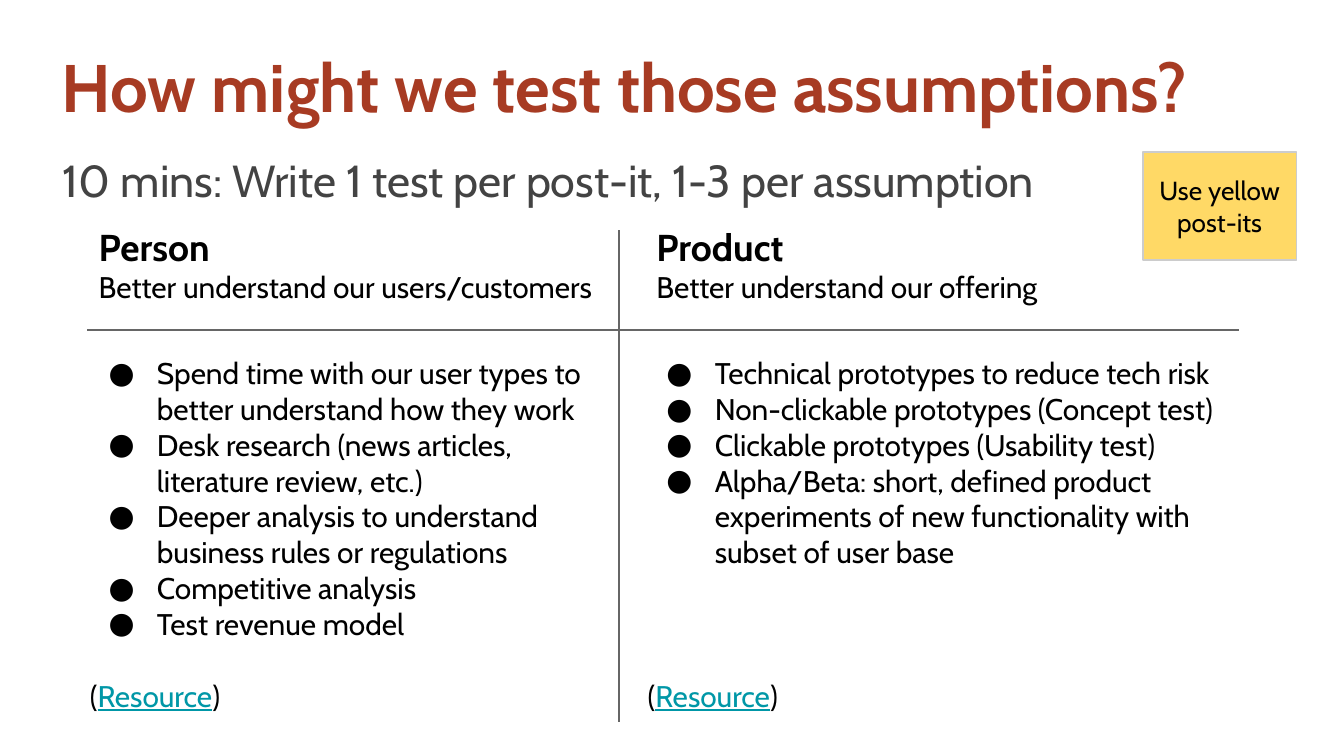
import pptx
import pptx.util
import pptx.dml.color
import pptx.enum.shapes
import pptx.enum.text
import pptx.oxml.ns
import lxml.etree

RGB = pptx.dml.color.RGBColor
BLACK = RGB(0x00, 0x00, 0x00)
RUST = RGB(0xA7, 0x3B, 0x23)
SLATE = RGB(0x43, 0x43, 0x43)
TEAL = RGB(0x00, 0x97, 0xA7)
GREY = RGB(0x66, 0x66, 0x66)
SILVER = RGB(0xCC, 0xCC, 0xCC)
YELLOW = RGB(0xFF, 0xD9, 0x66)

FONT = "Cabin"
SCALE = 4572
LINE = 19.2
ALIGN = pptx.enum.text.PP_ALIGN
ANCHOR = pptx.enum.text.MSO_ANCHOR

PERSON = [
    "Spend time with our user types to better understand how they work",
    "Desk research (news articles, literature review, etc.)",
    "Deeper analysis to understand business rules or regulations",
    "Competitive analysis",
    "Test revenue model",
]
PRODUCT = [
    "Technical prototypes to reduce tech risk",
    "Non-clickable prototypes (Concept test)",
    "Clickable prototypes (Usability test)",
    "Alpha/Beta: short, defined product experiments of new functionality "
    "with subset of user base",
]


def px(num):
    return pptx.util.Emu(num * SCALE)


def style(run, size, color=BLACK, bold=False):
    font = run.font
    font.name = FONT
    font.size = pptx.util.Pt(size)
    font.color.rgb = color
    font.bold = bold


def setup(frame, anchor=ANCHOR.MIDDLE):
    frame.word_wrap = True
    frame.auto_size = pptx.enum.text.MSO_AUTO_SIZE.NONE
    frame.vertical_anchor = anchor
    frame.margin_left = frame.margin_right = px(20)
    frame.margin_top = frame.margin_bottom = px(20)
    return frame


def add_box(slide, x, y, w, h, anchor=ANCHOR.MIDDLE):
    box = slide.shapes.add_textbox(px(x), px(y), px(w), px(h))
    return setup(box.text_frame, anchor)


def add_bullet(para):
    props = para._p.get_or_add_pPr()
    props.set("marL", str(px(100)))
    props.set("indent", str(px(-72)))
    qn = pptx.oxml.ns.qn
    color = lxml.etree.SubElement(props, qn("a:buClr"))
    lxml.etree.SubElement(color, qn("a:srgbClr"), val=str(BLACK))
    lxml.etree.SubElement(props, qn("a:buSzPts"), val="1600")
    lxml.etree.SubElement(props, qn("a:buFont"), typeface=FONT)
    lxml.etree.SubElement(props, qn("a:buChar"), char="●")


def add_line(slide, x1, y1, x2, y2):
    kind = pptx.enum.shapes.MSO_CONNECTOR.STRAIGHT
    line = slide.shapes.add_connector(kind, px(x1), px(y1), px(x2), px(y2))
    line.line.color.rgb = GREY
    line.line.width = pptx.util.Pt(0.75)
    props = line._element.spPr
    lxml.etree.SubElement(props, pptx.oxml.ns.qn("a:effectLst"))


def add_head(slide, x, y, w, h):
    title = slide.shapes.title
    title.left, title.top = px(x), px(y)
    title.width, title.height = px(w), px(h)
    frame = setup(title.text_frame)
    frame.text = "How might we test those assumptions?"
    para = frame.paragraphs[0]
    para.alignment = ALIGN.LEFT
    style(para.runs[0], 36, RUST, True)

    para = add_box(slide, x + 2, y + 128, w - 60, h + 13).paragraphs[0]
    para.text = "10 mins: Write 1 test per post-it, 1-3 per assumption"
    para.line_spacing = 1.15
    para.space_after = pptx.util.Pt(10)
    style(para.runs[0], 24, SLATE)


def add_column(slide, x, y, w, h, top_w, name, goal, items, gap):
    frame = add_box(slide, x + 13, y, top_w, 178)
    frame.text = f"{name}\n{goal}"
    first, second = frame.paragraphs
    style(first.runs[0], 20, bold=True)
    style(second.runs[0], 16)

    frame = add_box(slide, x, y + 204, w, h - 204, ANCHOR.TOP)
    frame.text = "\n".join(items)
    for para in frame.paragraphs:
        add_bullet(para)
        style(para.runs[0], 16)

    para = frame.add_paragraph()
    para.space_before = pptx.util.Pt(gap * LINE)
    for text in ("(", "Resource", ")"):
        run = para.add_run()
        run.text = text
        style(run, 16)
    link = para.runs[1].font
    link.color.rgb = TEAL
    link.underline = True


def add_cross(slide, x, y, w, h):
    add_line(slide, x + 791, y, x + 791, y + h)
    add_line(slide, x, y + 148, x + w, y + 148)


def add_note(slide, x, y, w, h):
    kind = pptx.enum.shapes.MSO_SHAPE.RECTANGLE
    note = slide.shapes.add_shape(kind, px(x), px(y), px(w), px(h))
    note.shadow.inherit = False
    note.fill.solid()
    note.fill.fore_color.rgb = YELLOW
    note.line.color.rgb = SILVER
    note.line.width = pptx.util.Pt(0.75)
    frame = setup(note.text_frame)
    frame.text = "Use yellow\npost-its"
    for para in frame.paragraphs:
        para.alignment = ALIGN.CENTER
        style(para.runs[0], 14)


def main():
    deck = pptx.Presentation()
    deck.slide_width, deck.slide_height = px(2000), px(1125)
    slide = deck.slides.add_slide(deck.slide_layouts[5])
    add_column(slide, 114, 304, 794, 860, 776, "Person",
               "Better understand our users/customers", PERSON, 1)
    add_column(slide, 944, 304, 902, 860, 836, "Product",
               "Better understand our offering", PRODUCT, 3)
    add_cross(slide, 130, 343, 1714, 731)
    add_head(slide, 72, 53, 1782, 148)
    add_note(slide, 1701, 226, 228, 161)
    deck.save("out.pptx")


if __name__ == "__main__":
    main()
